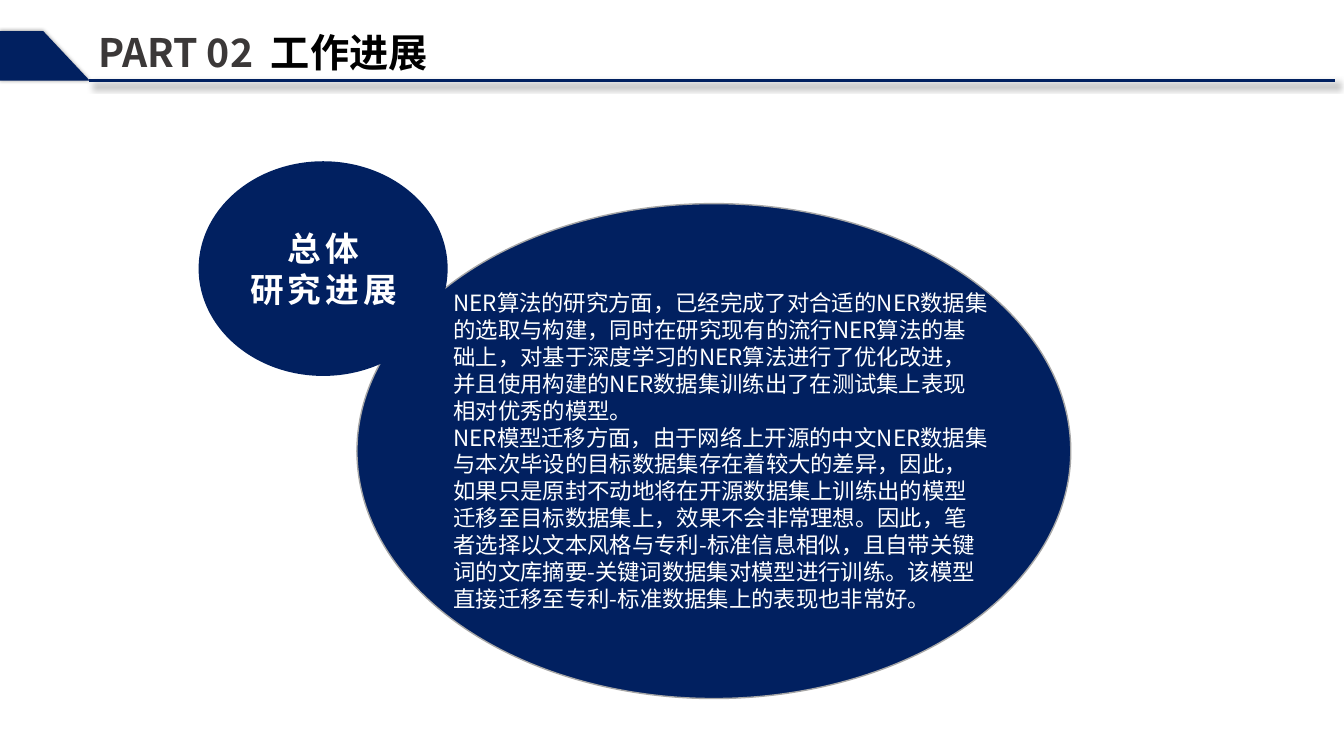
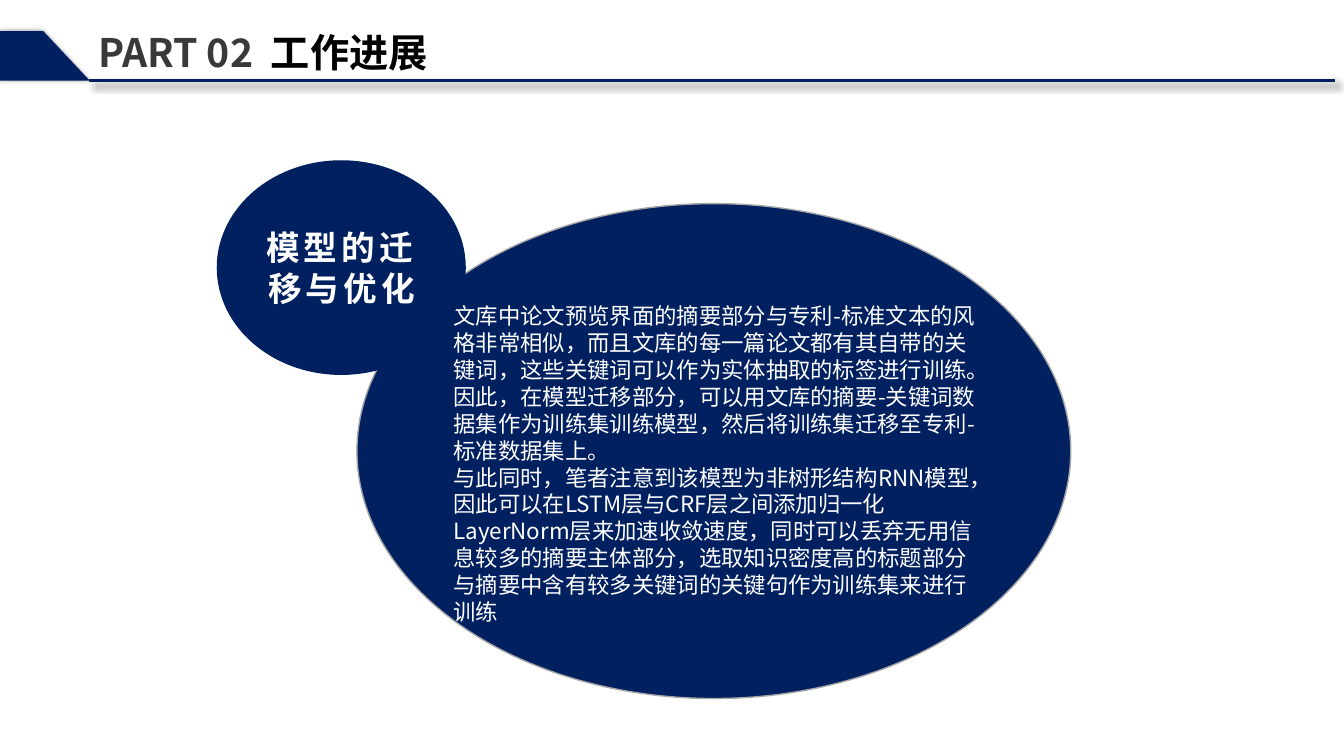
"""Build two progress slides, each with a topic circle overlapping a large text ellipse."""
from dataclasses import dataclass

from lxml import etree
from pptx import Presentation
from pptx.dml.color import RGBColor
from pptx.enum.shapes import MSO_CONNECTOR, MSO_SHAPE
from pptx.enum.text import MSO_ANCHOR, PP_ALIGN
from pptx.oxml.ns import qn
from pptx.util import Pt

PX = 9144
ELLIPSE = MSO_SHAPE.OVAL
STRAIGHT = MSO_CONNECTOR.STRAIGHT
MIDDLE = MSO_ANCHOR.MIDDLE
LEFT, CENTER = PP_ALIGN.LEFT, PP_ALIGN.CENTER


@dataclass(frozen=True)
class Theme:
    font: str = "Noto Sans CJK SC"
    navy: str = "012060"
    gray: str = "3B3838"
    outline: str = "A6A6A6"
    black: str = "000000"
    white: str = "FFFFFF"
    title: int = 28
    topic: int = 24
    body: int = 16
    leading: float = 1.2


THEME = Theme()
TITLE = [[("PART 02  ", THEME.gray), ("工作进展", THEME.black)]]
SLIDES = [
    {
        "circle": (197, 160),
        "topic": ["总体", "研究进展"],
        "body_top": 287,
        "body": [
            "NER算法的研究方面，已经完成了对合适的NER数据集的选取与构建，同时在研究现有的流行NER算法的基础上，"
            "对基于深度学习的NER算法进行了优化改进，并且使用构建的NER数据集训练出了在测试集上表现相对优秀的模型。",
            "NER模型迁移方面，由于网络上开源的中文NER数据集与本次毕设的目标数据集存在着较大的差异，因此，"
            "如果只是原封不动地将在开源数据集上训练出的模型迁移至目标数据集上，效果不会非常理想。因此，"
            "笔者选择以文本风格与专利-标准信息相似，且自带关键词的文库摘要-关键词数据集对模型进行训练。"
            "该模型直接迁移至专利-标准数据集上的表现也非常好。",
        ],
    },
    {
        "circle": (215, 159),
        "topic": ["模型的迁移与优化"],
        "body_top": 300,
        "body": [
            "文库中论文预览界面的摘要部分与专利-标准文本的风格非常相似，而且文库的每一篇论文都有其自带的关键词，"
            "这些关键词可以作为实体抽取的标签进行训练。因此，在模型迁移部分，可以用文库的摘要-关键词数据集"
            "作为训练集训练模型，然后将训练集迁移至专利-标准数据集上。",
            "与此同时，笔者注意到该模型为非树形结构RNN模型，因此可以在LSTM层与CRF层之间添加归一化LayerNorm层"
            "来加速收敛速度，同时可以丢弃无用信息较多的摘要主体部分，选取知识密度高的标题部分"
            "与摘要中含有较多关键词的关键句作为训练集来进行训练",
        ],
    },
]


def add_text(shapes, frame, paragraphs, size, bold=False, align=LEFT, spacing=0):
    box = shapes.add_textbox(*(value * PX for value in frame))
    text = box.text_frame
    text.word_wrap = True
    text.vertical_anchor = MIDDLE
    for index, spans in enumerate(paragraphs):
        para = text.add_paragraph() if index else text.paragraphs[0]
        para.alignment = align
        para.line_spacing = Pt(size * THEME.leading)
        for words, color in spans:
            span = para.add_run()
            span.text = words
            span.font.name = THEME.font
            span.font.size = Pt(size)
            span.font.bold = bold
            span.font.color.rgb = RGBColor.from_string(color)
            properties = span.font._element
            etree.SubElement(properties, qn("a:ea"), typeface=THEME.font)
            if spacing:
                properties.set("spc", str(spacing * 100))


def add_shadow(shape, blur, distance):
    effects = etree.SubElement(shape._element.spPr, qn("a:effectLst"))
    shadow = etree.SubElement(
        effects, qn("a:outerShdw"), blurRad=str(Pt(blur)), dist=str(Pt(distance)),
        dir="2700000", algn="tl", rotWithShape="0")
    color = etree.SubElement(shadow, qn("a:srgbClr"), val=THEME.black)
    etree.SubElement(color, qn("a:alpha"), val="40000")


navy = RGBColor.from_string(THEME.navy)
deck = Presentation()
deck.slide_width, deck.slide_height = 1333 * PX, 750 * PX

for content in SLIDES:
    page = deck.slides.add_slide(deck.slide_layouts[6])

    outline = page.shapes.build_freeform(0, 80, scale=PX)
    outline.add_line_segments([(89, 80), (43, 31), (0, 31)], close=True)
    tab = outline.convert_to_shape()
    tab.fill.solid()
    tab.fill.fore_color.rgb = navy
    tab.line.fill.background()
    add_shadow(tab, 3, 0)

    rule = page.shapes.add_connector(STRAIGHT, 88 * PX, 80 * PX, 1324 * PX, 80 * PX)
    rule.line.color.rgb = navy
    rule.line.width = Pt(2.25)
    add_shadow(rule, 5, 4)

    add_text(page.shapes, (88, 23, 467, 57), TITLE, THEME.title, bold=True)

    panel = page.shapes.add_shape(ELLIPSE, 354 * PX, 202 * PX, 708 * PX, 491 * PX)
    panel.line.color.rgb = RGBColor.from_string(THEME.outline)
    panel.line.width = Pt(1)
    add_text(page.shapes, (440, content["body_top"], 550, 320),
             [[(words, THEME.white)] for words in content["body"]], THEME.body)

    left, top = content["circle"]
    badge = page.shapes.add_group_shape()
    circle = badge.shapes.add_shape(ELLIPSE, left * PX, top * PX, 247 * PX, 213 * PX)
    circle.line.fill.background()
    add_text(badge.shapes, (left + 21, top + 61, 206, 91),
             [[(words, THEME.white)] for words in content["topic"]],
             THEME.topic, bold=True, align=CENTER, spacing=3)

    for oval in (panel, circle):
        oval.shadow.inherit = False
        oval.fill.solid()
        oval.fill.fore_color.rgb = navy

deck.save("out.pptx")
